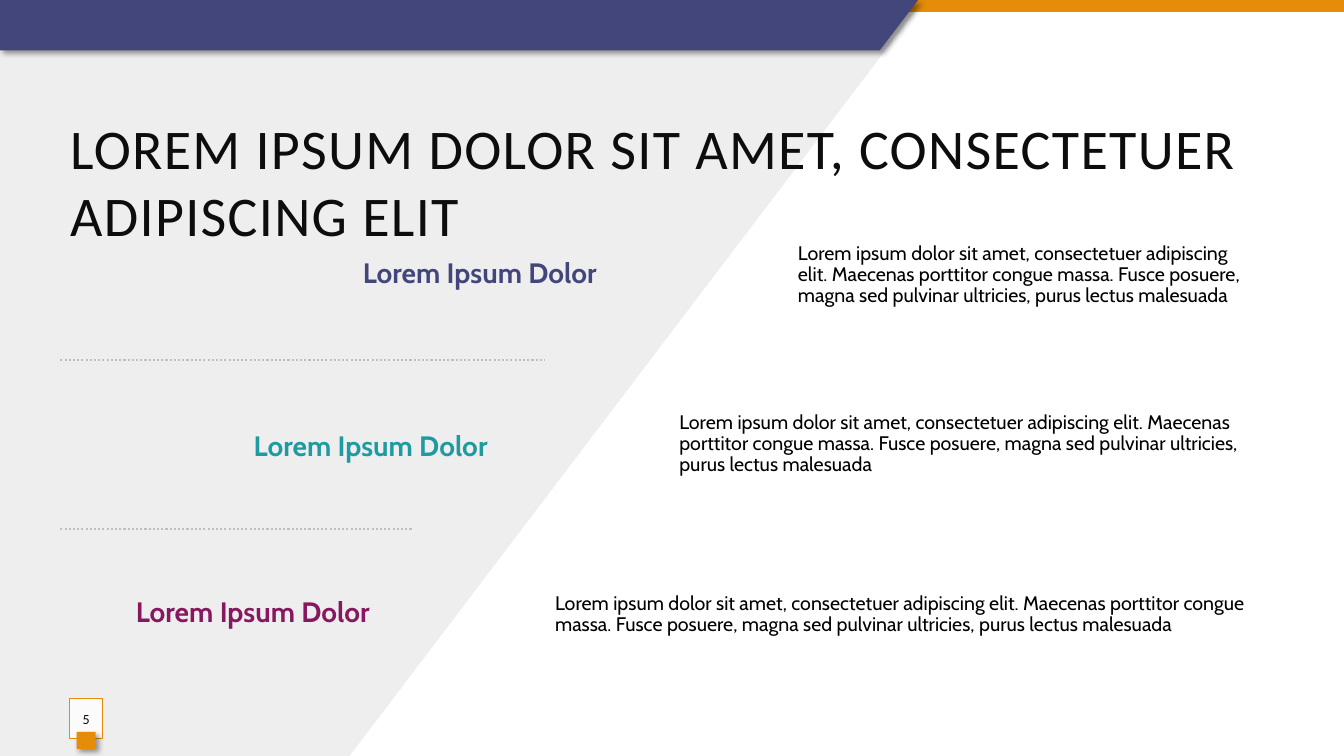
from lxml import etree
from pptx import Presentation
from pptx import util as u
from pptx.dml.color import RGBColor
from pptx.enum import dml, shapes, text
from pptx.oxml import parse_xml
from pptx.oxml.ns import nsdecls, qn

Cm, Pt = u.Cm, u.Pt
INDIGO = RGBColor(0x43, 0x46, 0x7B)
TEAL = RGBColor(0x1D, 0x9B, 0xA1)
PLUM = RGBColor(0x87, 0x17, 0x5F)
ORANGE = RGBColor(0xE5, 0x8C, 0x09)
PALE = RGBColor(0xEE, 0xEE, 0xEE)
DOTS = RGBColor(0xBF, 0xBF, 0xBF)
INK = RGBColor(0x0D, 0x0D, 0x0D)
BLACK = RGBColor(0, 0, 0)
WHITE = RGBColor(0xFF, 0xFF, 0xFF)

HEADING = "Lorem Ipsum Dolor "
BODY = ("Lorem ipsum dolor sit amet, consectetuer adipiscing elit. Maecenas "
        "porttitor congue massa. Fusce posuere, magna sed pulvinar ultricies, "
        "purus lectus malesuada")
SHADOW = (f'<a:effectLst {nsdecls("a")}><a:outerShdw blurRad="50800" dist="38100" '
          'dir="2700000" algn="tl" rotWithShape="0"><a:srgbClr val="000000">'
          '<a:alpha val="40000"/></a:srgbClr></a:outerShdw></a:effectLst>')


def paint(sp, color, shadow=False):
    sp.fill.solid()
    sp.fill.fore_color.rgb = color
    sp.line.fill.background()
    sp.shadow.inherit = False
    if shadow:
        pr = sp._element.spPr
        pr.replace(pr.find(qn("a:effectLst")), parse_xml(SHADOW))


def write(sp, words, font, size, color, bold=False, align=text.PP_ALIGN.LEFT,
          anchor=text.MSO_ANCHOR.MIDDLE, spacing=None):
    tf = sp.text_frame
    tf.word_wrap = True
    tf.vertical_anchor = anchor
    p = tf.paragraphs[0]
    p.alignment = align
    p.line_spacing = spacing
    r = p.add_run()
    r.text = words
    r.font.name = font
    r.font.size = Pt(size)
    r.font.bold = bold
    r.font.color.rgb = color
    return r


prs = Presentation()
prs.slide_width, prs.slide_height = Cm(33.87), Cm(19.05)
s = prs.slides.add_slide(prs.slide_layouts[6])
RECT = shapes.MSO_SHAPE.RECTANGLE

# Background panel, top strip and banner
panel = [(0, 0), (23.14, 0), (23.14, 0.18), (8.81, 19.05), (0, 19.05)]
banner = [(0, 0), (23.14, 0), (22.17, 1.27), (0, 1.27)]
for points, color, shadow in [(panel, PALE, False), (banner, INDIGO, True)]:
    corners = [(Cm(x), Cm(y)) for x, y in points]
    fb = s.shapes.build_freeform(*corners[0])
    fb.add_line_segments(corners[1:], close=True)
    paint(fb.convert_to_shape(), color, shadow)
    if points is panel:
        strip = s.shapes.add_shape(RECT, 0, 0, prs.slide_width, Cm(0.3))
        paint(strip, ORANGE)

# Title
sp = s.shapes.add_textbox(Cm(1.52), Cm(2.74), Cm(30.02), Cm(1.96))
r = write(sp, "LOREM IPSUM DOLOR SIT AMET, CONSECTETUER ADIPISCING ELIT",
          "Calibri", 40, INK, anchor=text.MSO_ANCHOR.TOP)
r.font._element.set("spc", "100")

# Rows: heading box left, top and right; body box left and top
BODY_RIGHT = 31.85
rows = [
    (INDIGO, 1.73, 6.32, 15.45, 19.86, 5.66),
    (TEAL, 1.52, 10.69, 12.7, 16.87, 9.93),
    (PLUM, 1.52, 14.88, 9.73, 13.74, 14.22),
]
for color, left, top, right, body_left, body_top in rows:
    sp = s.shapes.add_textbox(Cm(left), Cm(top), Cm(right - left), Cm(1.17))
    write(sp, HEADING, "Cabin", 20, color, bold=True,
          align=text.PP_ALIGN.RIGHT, spacing=0.9)
    sp = s.shapes.add_textbox(Cm(body_left), Cm(body_top),
                              Cm(BODY_RIGHT - body_left), Cm(2.54))
    write(sp, BODY, "Cabin", 14, BLACK, spacing=0.9)

# Dotted dividers
for y, right in [(9.07, 13.72), (13.34, 10.41)]:
    ln = s.shapes.add_connector(shapes.MSO_CONNECTOR.STRAIGHT,
                                Cm(1.52), Cm(y), Cm(right), Cm(y))
    ln.line.color.rgb = DOTS
    ln.line.width = Pt(1.5)
    ln.line.dash_style = dml.MSO_LINE.ROUND_DOT
    etree.SubElement(ln._element.spPr, qn("a:effectLst"))

# Slide number box and its marker
sp = s.shapes.add_shape(RECT, Cm(1.75), Cm(17.6), Cm(0.84), Cm(1.02))
paint(sp, WHITE)
white = sp._element.spPr.find(qn("a:solidFill"))[0]
etree.SubElement(white, qn("a:alpha")).set("val", "82000")
sp.line.color.rgb = ORANGE
sp.line.width = Pt(0.75)
sp.text_frame.margin_left = sp.text_frame.margin_right = 0
write(sp, "5", "Calibri", 10, INK, align=text.PP_ALIGN.CENTER)
marker = s.shapes.add_shape(RECT, Cm(1.93), Cm(18.44), Cm(0.48), Cm(0.43))
paint(marker, ORANGE, shadow=True)

prs.save("out.pptx")
